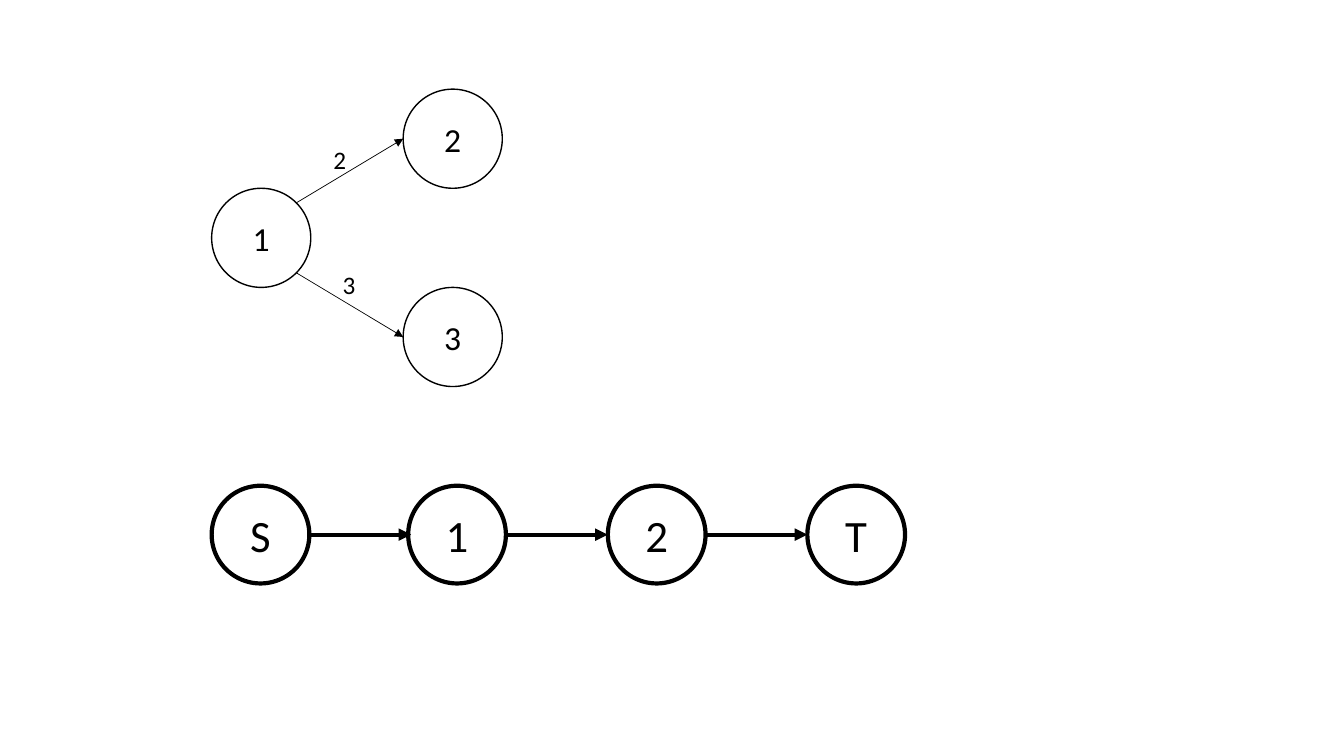
"""Draw a small weighted graph above a chain of states from S to T."""
from dataclasses import dataclass

from pptx import Presentation
from pptx.dml.color import RGBColor
from pptx.enum import shapes, text
from pptx.oxml import ns
from pptx.util import Pt
from lxml import etree


@dataclass
class Theme:
    ink: RGBColor = RGBColor(0, 0, 0)
    font: str = "Calibri"
    graph_size: int = 24
    weight_size: int = 18
    chain_size: int = 32


theme = Theme()


def write(tf, label, size):
    p = tf.paragraphs[0]
    r = p.add_run()
    r.text = label
    r.font.name = theme.font
    r.font.size = Pt(size)
    r.font.color.rgb = theme.ink
    return p


def add_arrow(group, start, end, width):
    c = group.shapes.add_connector(
        shapes.MSO_CONNECTOR.STRAIGHT, *(Pt(v) for v in start + end))
    c.line.color.rgb = theme.ink
    c.line.width = Pt(width)
    etree.SubElement(c.line._get_or_add_ln(), ns.qn("a:tailEnd"), type="triangle")
    etree.SubElement(c._element.spPr, ns.qn("a:effectLst"))


prs = Presentation()
prs.slide_width, prs.slide_height = Pt(960), Pt(540)
s = prs.slides.add_slide(prs.slide_layouts[6])
graph = s.shapes.add_group_shape()
chain = s.shapes.add_group_shape()

left = 151.2
graph_d, branch_left, graph_mid = 70.8, 288, 169.9
chain_d, chain_top, chain_gap = 69.8, 347, 72.7
chain_mid = chain_top + chain_d / 2
chain_lefts = [left, 291.6, 434.2, 576.7]

nodes = [
    (graph, "1", left, graph_mid - graph_d / 2, graph_d, 1, theme.graph_size),
    (graph, "3", branch_left, graph_mid + graph_d / 2, graph_d, 1, theme.graph_size),
    (graph, "2", branch_left, graph_mid - graph_d * 1.5, graph_d, 1, theme.graph_size),
]
for label, x in zip("S12T", chain_lefts):
    nodes.append((chain, label, x, chain_top, chain_d, 3, theme.chain_size))

for group, label, x, y, d, width, size in nodes:
    sp = group.shapes.add_shape(
        shapes.MSO_SHAPE.OVAL, Pt(x), Pt(y), Pt(d), Pt(d))
    sp.shadow.inherit = False
    sp.fill.background()
    sp.line.color.rgb = theme.ink
    sp.line.width = Pt(width)
    tf = sp.text_frame
    tf.vertical_anchor = text.MSO_ANCHOR.MIDDLE
    p = write(tf, label, size)
    p.alignment = text.PP_ALIGN.CENTER

for side, weight, x, y in [(-1, "2", 231.1, 99.4), (1, "3", 237.6, 188.6)]:
    add_arrow(graph, (211.7, graph_mid + side * 25),
              (branch_left, graph_mid + side * graph_d), 0.5)
    tb = graph.shapes.add_textbox(Pt(x), Pt(y), Pt(23.8), Pt(29))
    tf = tb.text_frame
    tf.word_wrap = False
    tf.auto_size = text.MSO_AUTO_SIZE.SHAPE_TO_FIT_TEXT
    write(tf, weight, theme.weight_size)

for x in chain_lefts[:-1]:
    add_arrow(chain, (x + chain_d, chain_mid),
              (x + chain_d + chain_gap, chain_mid), 3)

prs.save("out.pptx")
